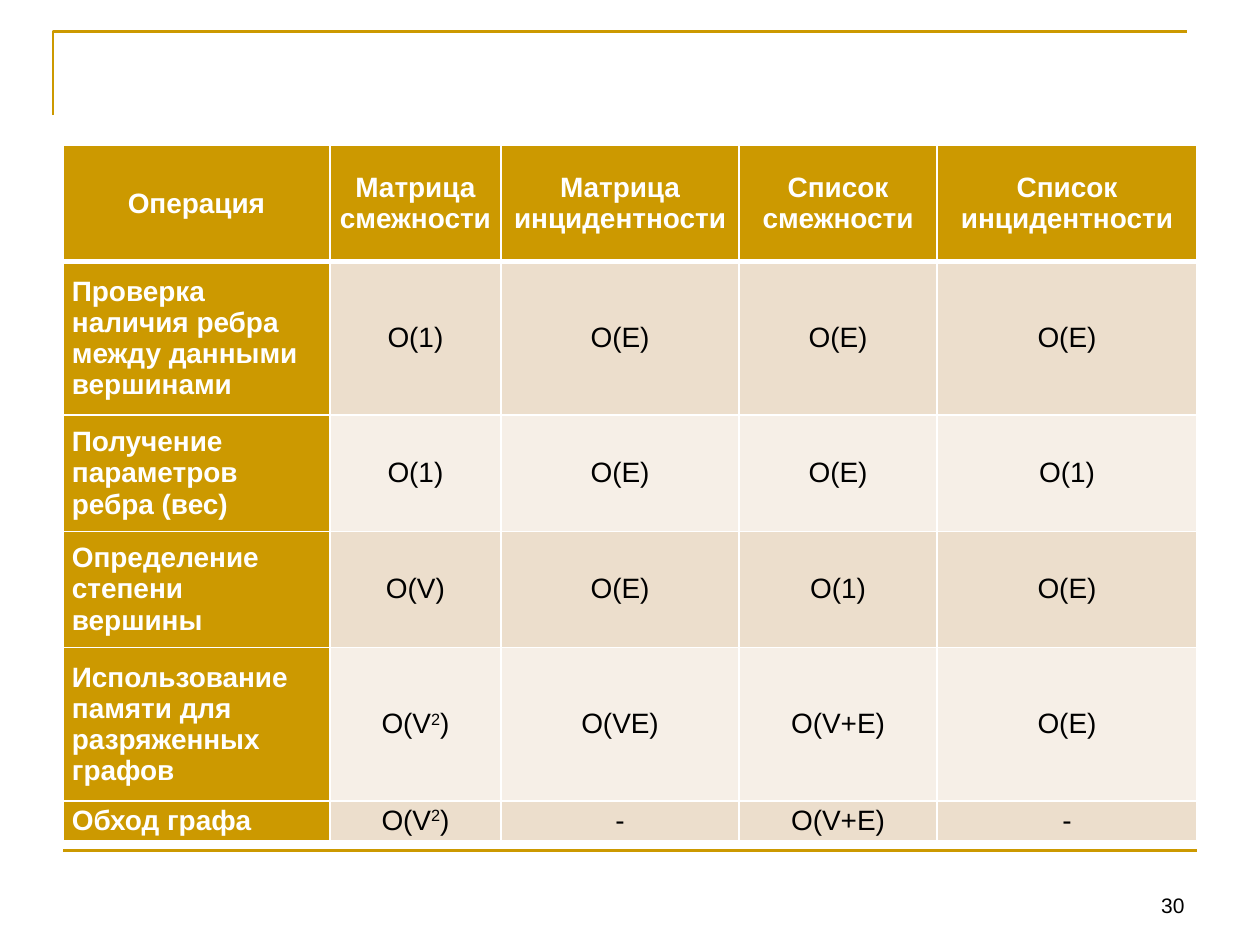
from lxml import etree
from pptx import Presentation
from pptx import util as u
from pptx.dml.color import RGBColor
from pptx.enum import shapes, text
from pptx.oxml import ns

COLORS = {"gold": "CC9900", "sand": "ECDECC", "cream": "F6EFE7",
          "white": "FFFFFF", "black": "000000"}
COLUMN_WIDTHS = [5.38, 3.45, 4.8, 3.99, 5.24]
ROW_HEIGHTS = [2.34, 3.1, 2.34, 2.34, 3.1, 0.79]
COMPLEXITIES = [
    ["Операция", "Матрица смежности", "Матрица инцидентности",
     "Список смежности", "Список инцидентности"],
    ["Проверка наличия ребра между данными вершинами",
     "O(1)", "O(E)", "O(E)", "O(E)"],
    ["Получение параметров ребра (вес)", "O(1)", "O(E)", "O(E)", "O(1)"],
    ["Определение степени вершины", "O(V)", "O(E)", "O(1)", "O(E)"],
    ["Использование памяти для разряженных графов",
     "O(V^2^)", "O(VE)", "O(V+E)", "O(E)"],
    ["Обход графа", "O(V^2^)", "-", "O(V+E)", "-"],
]


def color(name):
    return RGBColor.from_string(COLORS[name])


def write(frame, wording, size=16, ink="black", bold=False,
          align=text.PP_ALIGN.CENTER):
    paragraph = frame.paragraphs[0]
    paragraph.alignment = align
    for index, part in enumerate(wording.split("^")):
        run = paragraph.add_run()
        run.text = part
        run.font.name = "Arial"
        run.font.size = u.Pt(size)
        run.font.bold = bold
        run.font.color.rgb = color(ink)
        if index % 2:
            run._r.get_or_add_rPr().set("baseline", "30000")


def style_rule(rule):
    rule.line.color.rgb = color("gold")
    rule.line.width = u.Pt(1.5)


def add_corner_rule(slide):
    builder = slide.shapes.build_freeform(u.Cm(1.07), u.Cm(2.32))
    builder.add_line_segments([(u.Cm(1.07), u.Cm(0.64)),
                               (u.Cm(23.93), u.Cm(0.64))], close=False)
    corner = builder.convert_to_shape()
    corner.fill.background()
    corner.shadow.inherit = False
    style_rule(corner)


def add_bottom_rule(slide):
    rule = slide.shapes.add_connector(
        shapes.MSO_CONNECTOR.STRAIGHT,
        u.Cm(1.27), u.Cm(17.15), u.Cm(24.13), u.Cm(17.15))
    style_rule(rule)
    etree.SubElement(rule._element.spPr, ns.qn("a:effectLst"))


def add_borders(cell, top=1, bottom=1):
    properties = cell._tc.get_or_add_tcPr()
    widths = {"a:lnL": 1, "a:lnR": 1, "a:lnT": top, "a:lnB": bottom}
    for position, (side, width) in enumerate(widths.items()):
        border = etree.Element(ns.qn(side), w=str(u.Pt(width)))
        fill = etree.SubElement(border, ns.qn("a:solidFill"))
        etree.SubElement(fill, ns.qn("a:srgbClr"), val=COLORS["white"])
        properties.insert(position, border)


def fill_cell(cell, wording, row, column):
    heading = row == 0 or column == 0
    band = "sand" if row % 2 else "cream"
    cell.fill.solid()
    cell.fill.fore_color.rgb = color("gold" if heading else band)
    cell.vertical_anchor = text.MSO_ANCHOR.MIDDLE
    cell.margin_left = cell.margin_right = u.Cm(0.18)
    cell.margin_top = cell.margin_bottom = 0
    add_borders(cell, top=3 if row == 1 else 1, bottom=3 if row == 0 else 1)
    operation = row > 0 and column == 0
    write(cell.text_frame, wording, bold=heading,
          ink="white" if heading else "black",
          align=text.PP_ALIGN.LEFT if operation else text.PP_ALIGN.CENTER)


def add_complexity_table(slide):
    table = slide.shapes.add_table(
        len(ROW_HEIGHTS), len(COLUMN_WIDTHS), u.Cm(1.27), u.Cm(2.93),
        u.Cm(sum(COLUMN_WIDTHS)), u.Cm(sum(ROW_HEIGHTS))).table
    for column, width in zip(table.columns, COLUMN_WIDTHS):
        column.width = u.Cm(width)
    for row, height in zip(table.rows, ROW_HEIGHTS):
        row.height = u.Cm(height)
    for row, wordings in enumerate(COMPLEXITIES):
        for column, wording in enumerate(wordings):
            fill_cell(table.cell(row, column), wording, row, column)


def add_page_number(slide, number):
    frame = slide.shapes.add_textbox(
        u.Cm(18.21), u.Cm(17.35), u.Cm(5.92), u.Cm(1.27)).text_frame
    frame.word_wrap = True
    frame.vertical_anchor = text.MSO_ANCHOR.BOTTOM
    write(frame, number, size=12, align=text.PP_ALIGN.RIGHT)


def main():
    deck = Presentation()
    deck.slide_width, deck.slide_height = u.Cm(25.4), u.Cm(19.05)
    slide = deck.slides.add_slide(deck.slide_layouts[6])
    add_corner_rule(slide)
    add_bottom_rule(slide)
    add_complexity_table(slide)
    add_page_number(slide, "30")
    deck.save("out.pptx")


if __name__ == "__main__":
    main()
